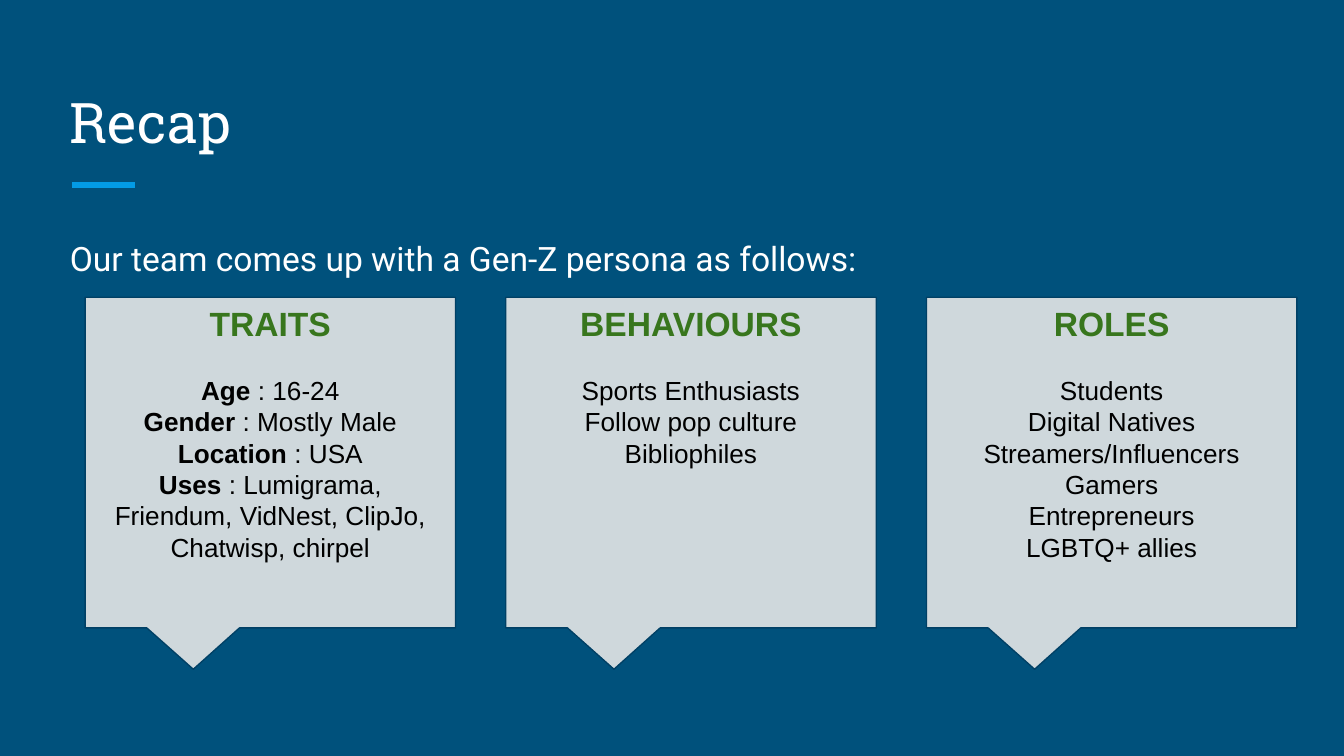
import pptx
import pptx.dml.color
import pptx.enum.shapes
import pptx.enum.text
import pptx.oxml
import pptx.oxml.ns
import pptx.util
from pptx.util import Cm

RGBColor = pptx.dml.color.RGBColor
NAVY = RGBColor(0x00, 0x51, 0x7C)
DARK_NAVY = RGBColor(0x00, 0x40, 0x65)
SKY = RGBColor(0x03, 0x9B, 0xE5)
WHITE = RGBColor(0xFF, 0xFF, 0xFF)
BLACK = RGBColor(0x00, 0x00, 0x00)
GREY = RGBColor(0xCF, 0xD8, 0xDC)
GREEN = RGBColor(0x38, 0x76, 0x1D)

LEFT = pptx.enum.text.PP_ALIGN.LEFT
CENTER = pptx.enum.text.PP_ALIGN.CENTER
TOP = pptx.enum.text.MSO_ANCHOR.TOP
BOTTOM = pptx.enum.text.MSO_ANCHOR.BOTTOM

TITLE_FONT = {"name": "Roboto Slab", "size": 30, "color": WHITE}
BODY_FONT = {"name": "Roboto", "size": 18, "color": WHITE}
HEADING_FONT = {"name": "Arial", "size": 18, "color": GREEN, "bold": True}
ITEM_FONT = {"name": "Arial", "size": 14, "color": BLACK, "bold": False}
LABEL_FONT = {**ITEM_FONT, "bold": True}

# Each item is a pair of bold label and plain text.
CARDS = [
    ("TRAITS", [
        ("Age", " : 16-24"),
        ("Gender", " : Mostly Male"),
        ("Location", " : USA"),
        ("Uses", " : Lumigrama, Friendum, VidNest, ClipJo, Chatwisp, chirpel"),
    ]),
    ("BEHAVIOURS", [
        ("", "Sports Enthusiasts"),
        ("", "Follow pop culture"),
        ("", "Bibliophiles"),
    ]),
    ("ROLES", [
        ("", "Students"),
        ("", "Digital Natives"),
        ("", "Streamers/Influencers"),
        ("", "Gamers"),
        ("", "Entrepreneurs"),
        ("", "LGBTQ+ allies"),
    ]),
]


def add_run(paragraph, text, font_format):
    run = paragraph.add_run()
    run.text = text
    for attribute, value in font_format.items():
        if attribute == "color":
            run.font.color.rgb = value
        elif attribute == "size":
            run.font.size = pptx.util.Pt(value)
        else:
            setattr(run.font, attribute, value)


def format_frame(text_frame, anchor, top_inset=Cm(0.25)):
    frame_format = {
        "word_wrap": True,
        "auto_size": pptx.enum.text.MSO_AUTO_SIZE.NONE,
        "vertical_anchor": anchor,
        "margin_left": Cm(0.25),
        "margin_right": Cm(0.25),
        "margin_top": top_inset,
        "margin_bottom": Cm(0.25),
    }
    for attribute, value in frame_format.items():
        setattr(text_frame, attribute, value)


def fill_placeholder(placeholder, box, text, font_format, anchor, line_spacing):
    """Move a placeholder into box and give it one left-aligned paragraph without bullet."""
    placeholder.left, placeholder.top, placeholder.width, placeholder.height = box
    format_frame(placeholder.text_frame, anchor)
    paragraph = placeholder.text_frame.paragraphs[0]
    paragraph.alignment = LEFT
    paragraph.line_spacing = line_spacing
    paragraph.space_before = pptx.util.Pt(0)
    properties = paragraph._p.get_or_add_pPr()
    properties.set("marL", "0")
    properties.set("indent", "0")
    properties.append(pptx.oxml.parse_xml(
        "<a:buNone %s/>" % pptx.oxml.ns.nsdecls("a")))
    add_run(paragraph, text, font_format)


def add_header(slide, left, top, width, height):
    """Place the title and the short accent line below it."""
    fill_placeholder(slide.shapes.title, (left, top, width, height),
                     "Recap", TITLE_FONT, BOTTOM, 1.0)
    line_left = left + Cm(0.3)
    line_top = top + height + Cm(0.33)
    accent = slide.shapes.add_connector(
        pptx.enum.shapes.MSO_CONNECTOR.STRAIGHT,
        line_left, line_top, line_left + Cm(1.18), line_top)
    accent.line.color.rgb = SKY
    accent.line.width = pptx.util.Pt(3)
    accent._element.spPr.append(pptx.oxml.parse_xml(
        "<a:effectLst %s/>" % pptx.oxml.ns.nsdecls("a")))


def add_card(slide, left, top, width, height, heading, items):
    card = slide.shapes.add_shape(
        pptx.enum.shapes.MSO_SHAPE.ROUNDED_RECTANGULAR_CALLOUT,
        left, top, width, height)
    for index, value in enumerate((-0.208, 0.625, 0)):
        card.adjustments[index] = value
    card.shadow.inherit = False
    card.fill.solid()
    card.fill.fore_color.rgb = GREY
    card.line.color.rgb = DARK_NAVY
    card.line.width = pptx.util.Pt(0.75)

    text_frame = card.text_frame
    format_frame(text_frame, TOP, Cm(0.11))
    paragraph = text_frame.paragraphs[0]
    paragraph.alignment = CENTER
    paragraph.space_after = pptx.util.Pt(16.5)
    add_run(paragraph, heading, HEADING_FONT)
    for label, text in items:
        paragraph = text_frame.add_paragraph()
        paragraph.alignment = CENTER
        if label:
            add_run(paragraph, label, LABEL_FONT)
        add_run(paragraph, text, ITEM_FONT)


def add_card_row(slide, left, top, width, height):
    """Spread the cards evenly over the given box."""
    card_width = Cm(7)
    step = (width - card_width) // (len(CARDS) - 1)
    for index, (heading, items) in enumerate(CARDS):
        add_card(slide, left + index * step, top, card_width, height, heading, items)


def main():
    presentation = pptx.Presentation()
    presentation.slide_width = Cm(25.4)
    presentation.slide_height = Cm(14.29)
    slide = presentation.slides.add_slide(presentation.slide_layouts[1])
    slide.background.fill.solid()
    slide.background.fill.fore_color.rgb = NAVY

    add_header(slide, Cm(1.07), Cm(1.27), Cm(23.24), Cm(1.9))
    fill_placeholder(slide.placeholders[1], (Cm(1.07), Cm(4.14), Cm(23.24), Cm(8.56)),
                     "Our team comes up with a Gen-Z persona as follows:",
                     BODY_FONT, TOP, 1.15)
    add_card_row(slide, Cm(1.61), Cm(5.62), Cm(22.9), Cm(6.25))
    presentation.save("out.pptx")


if __name__ == "__main__":
    main()
